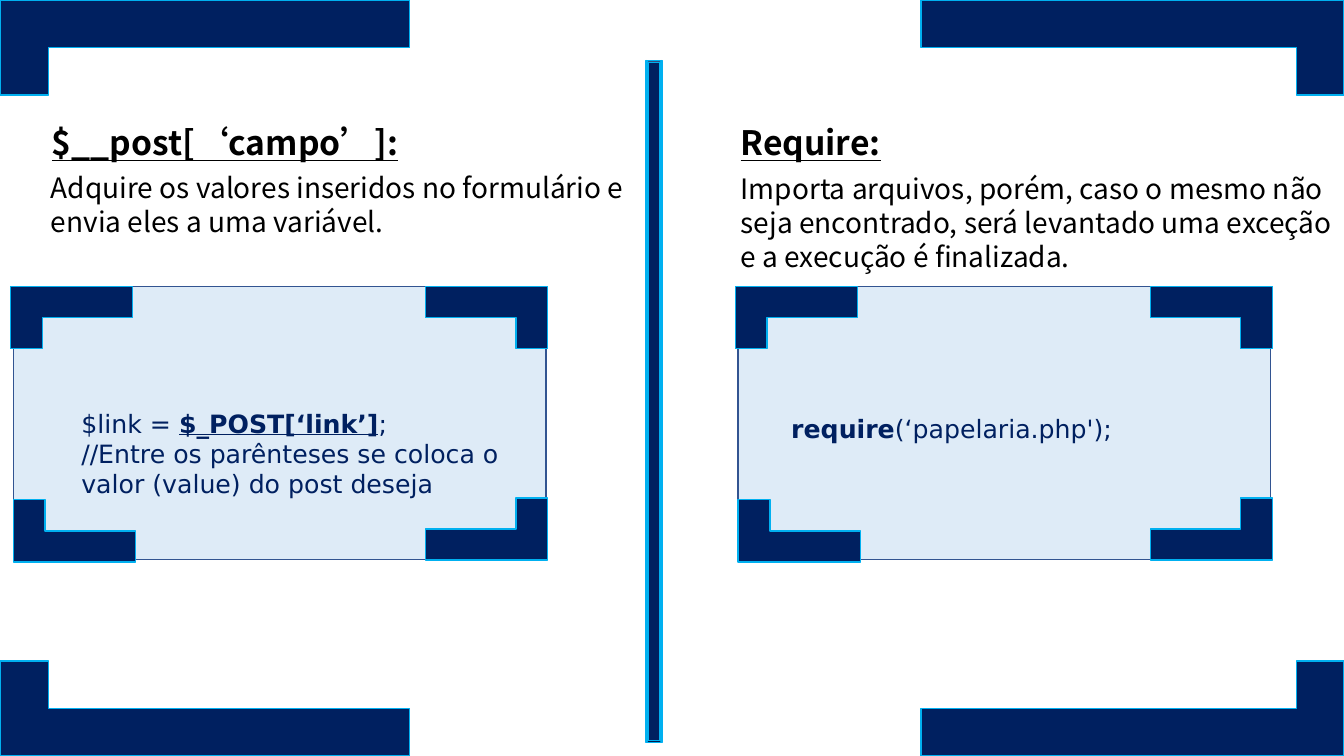
from pptx import Presentation
from pptx.dml.color import RGBColor
from pptx.enum.shapes import MSO_SHAPE
from pptx.enum.text import MSO_ANCHOR, MSO_AUTO_SIZE, PP_ALIGN
from pptx.oxml.ns import qn
from pptx.util import Pt
from lxml.etree import SubElement

NAVY = RGBColor(0x00, 0x20, 0x60)
CYAN = RGBColor(0x00, 0xB0, 0xF0)
PALE_BLUE = RGBColor(0xDE, 0xEB, 0xF7)
PANEL_EDGE = RGBColor(0x32, 0x54, 0x91)
BLACK = RGBColor(0x00, 0x00, 0x00)

SLIDE_WIDTH, SLIDE_HEIGHT = 960, 540
PROSE_FONT = "Noto Sans CJK TC"
CODE_FONT = "DejaVu Sans"


class SlideBuilder:
    def __init__(self, slide):
        self.slide = slide

    def shape(self, kind, box, fill=NAVY, line=CYAN, parent=None):
        shapes = (parent or self.slide).shapes
        shape = shapes.add_shape(kind, *map(Pt, box))
        shape.shadow.inherit = False
        shape.fill.solid()
        shape.fill.fore_color.rgb = fill
        shape.line.color.rgb = line
        shape.line.width = Pt(1)
        return shape

    def bracket(self, box, right=False, top=False, arm=0.514, parent=None):
        """Add an L shape that hugs the named corner (bottom left by default)."""
        shape = self.shape(MSO_SHAPE.CORNER, box, parent=parent)
        shape.adjustments[0] = 0.5
        shape.adjustments[1] = arm
        transform = shape.element.spPr.get_or_add_xfrm()
        if right:
            transform.set("flipH", "1")
        if top:
            transform.set("flipV", "1")

    def code_panel(self, left):
        group = self.slide.shapes.add_group_shape()
        self.shape(MSO_SHAPE.RECTANGLE, (left, 204.7, 380.5, 195),
                   PALE_BLUE, PANEL_EDGE, group)
        width, height = 87.3, 44.4
        for offset, y, right, top in (
            (-2, 204.7, False, True),
            (294.5, 204.7, True, True),
            (294.5, 355.6, True, False),
            (0, 357, False, False),
        ):
            self.bracket((left + offset, y, width, height), right, top, parent=group)

    def text(self, box, paragraphs, size, font, color, centred_tight=False):
        """Add a text box; each paragraph is a list of (text, bold, underline)."""
        text_box = self.slide.shapes.add_textbox(*map(Pt, box))
        frame = text_box.text_frame
        frame.word_wrap = True
        frame.auto_size = MSO_AUTO_SIZE.SHAPE_TO_FIT_TEXT
        if centred_tight:
            frame.vertical_anchor = MSO_ANCHOR.MIDDLE
            frame.margin_left = frame.margin_right = 0
            frame.margin_top = frame.margin_bottom = 0
        for index, pieces in enumerate(paragraphs):
            paragraph = frame.add_paragraph() if index else frame.paragraphs[0]
            paragraph.alignment = PP_ALIGN.LEFT
            for words, bold, underline in pieces:
                run = paragraph.add_run()
                run.text = words
                run.font.size = Pt(size)
                run.font.bold = bold
                run.font.underline = underline
                run.font.color.rgb = color
                run.font.name = font
                SubElement(run.font._element, qn("a:ea"), typeface=font)

    def heading(self, box, words):
        self.text(box, [[(words, True, True)]], 24, PROSE_FONT, BLACK)

    def body(self, box, words):
        self.text(box, [[(words, False, False)]], 20, PROSE_FONT, BLACK)

    def code(self, box, paragraphs, centred_tight=False):
        self.text(box, paragraphs, 18, CODE_FONT, NAVY, centred_tight)


def main():
    presentation = Presentation()
    presentation.slide_width = Pt(SLIDE_WIDTH)
    presentation.slide_height = Pt(SLIDE_HEIGHT)
    builder = SlideBuilder(presentation.slides.add_slide(presentation.slide_layouts[6]))

    for panel_left in (527.2, 9.5):
        builder.code_panel(panel_left)

    bracket_height = 67.8
    for top in (True, False):
        y = 0 if top else SLIDE_HEIGHT - bracket_height
        for right, width, arm in ((False, 292.5, 0.514), (True, 302, 0.5)):
            x = SLIDE_WIDTH - width if right else 0
            builder.bracket((x, y, width, bracket_height), right, top, arm)

    builder.heading((30, 83.5, 481, 36), "$__post[‘campo’]:")
    builder.body((29.3, 118.5, 432, 55.5),
                 "Adquire os valores inseridos no formulário e envia eles a uma variável.")
    builder.code((51, 288, 320, 72.7), [
        [("$link = ", False, False), ("$_POST[‘link’]", True, True), (";", False, False)],
        [("//Entre os parênteses se coloca o valor (value) do post deseja", False, False)],
    ])

    builder.shape(MSO_SHAPE.BEVEL, (461.5, 43.2, 11.5, 487))

    builder.body((522, 119.3, 438, 80),
                 "Importa arquivos, porém, caso o mesmo não seja encontrado, "
                 "será levantado uma exceção e a execução é finalizada.")
    builder.heading((522, 83.5, 438, 36), "Require:")
    builder.code((565.2, 295.5, 329, 21.6), [
        [("require", True, False), ("(‘papelaria.php');", False, False)],
    ], centred_tight=True)

    presentation.save("out.pptx")


if __name__ == "__main__":
    main()
